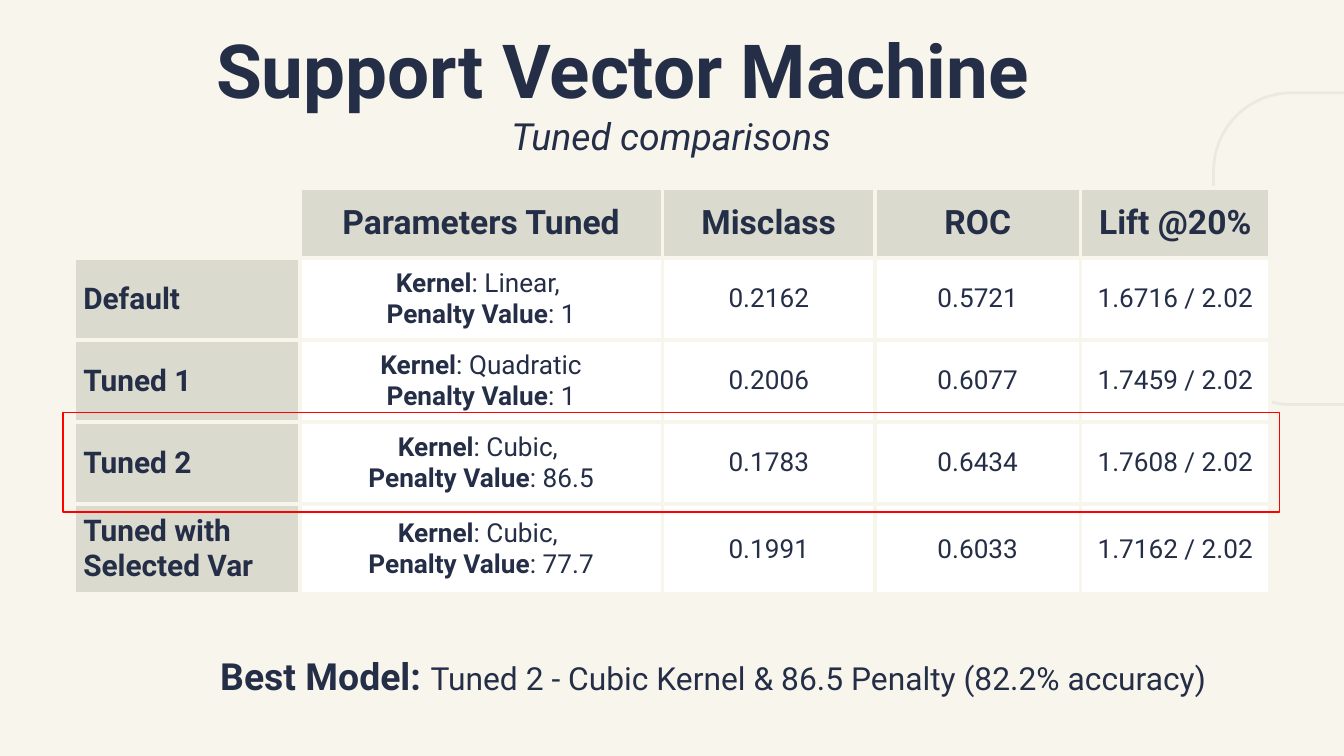
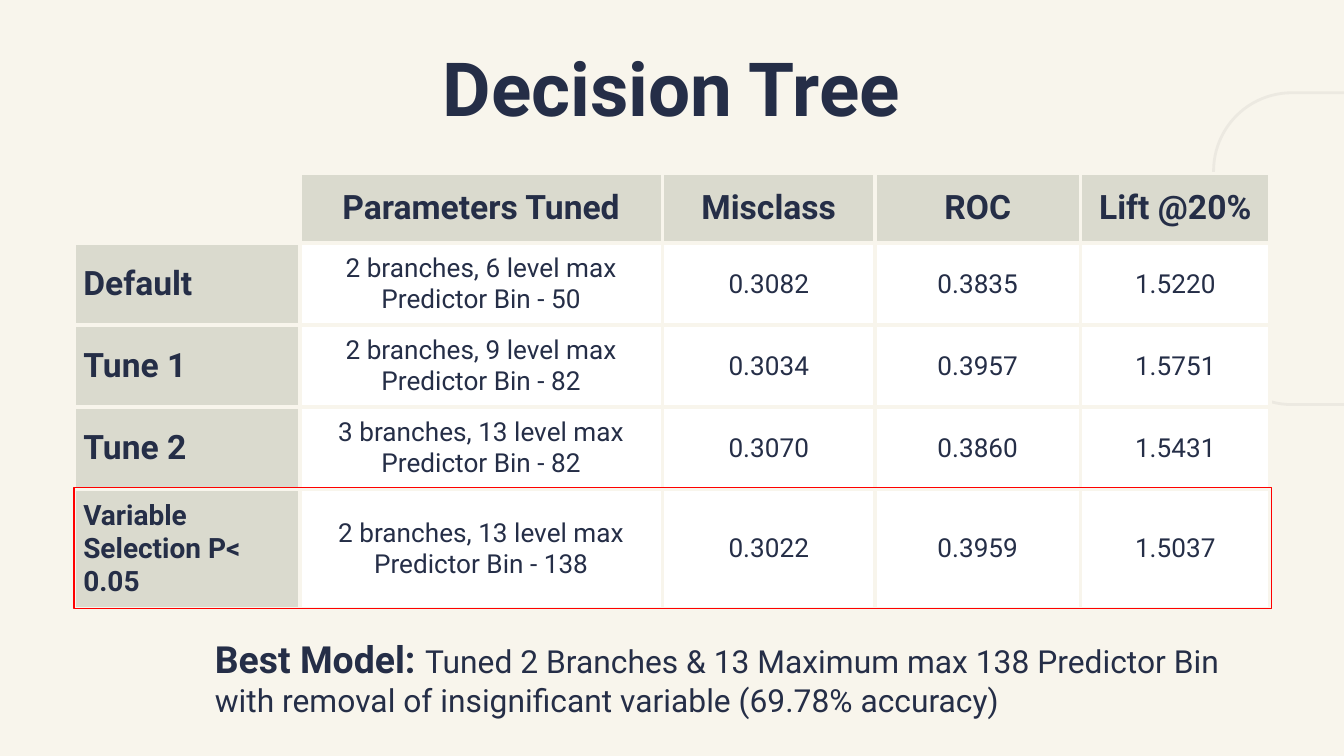
from dataclasses import dataclass
from lxml import etree
from pptx import Presentation
from pptx.dml.color import RGBColor
from pptx.enum import shapes, text
from pptx.oxml.ns import qn
from pptx.util import Inches, Pt


@dataclass(frozen=True)
class Theme:
    font: str = "Roboto"
    back: str = "F8F5EC"
    ink: str = "252E47"
    head: str = "DADACE"
    body: str = "FFFFFF"
    deco: str = "ECE9E1"
    mark: str = "FF0000"
    title: int = 40
    sub: int = 20
    best: int = 17
    column: int = 18
    cell: int = 14


T = Theme()
LEFT, MID = text.PP_ALIGN.LEFT, text.PP_ALIGN.CENTER


def write(frame, *paras, size=T.cell, bold=False, align=LEFT):
    """Fill a frame; each paragraph is a list of (text, format changes) runs."""
    frame.word_wrap = True
    for i, runs in enumerate(paras):
        para = frame.add_paragraph() if i else frame.paragraphs[0]
        para.alignment = align
        for words, own in runs:
            run = para.add_run()
            run.text = words
            font = run.font
            font.name = T.font
            font.color.rgb = RGBColor.from_string(T.ink)
            font.size = Pt(own.get("size", size))
            font.bold = own.get("bold", bold)
            if own.get("italic"):
                font.italic = True


def outline(slide, kind, box, color, width):
    shape = slide.shapes.add_shape(kind, *map(Inches, box))
    shape.shadow.inherit = False
    shape.fill.background()
    shape.line.color.rgb = RGBColor.from_string(color)
    shape.line.width = Pt(width)
    return shape


HEADS = ["", "Parameters Tuned", "Misclass", "ROC", "Lift @20%"]
WIDTHS = [1.68, 2.7, 1.58, 1.53, 1.41]

PAGES = [
    dict(
        title="Support Vector Machine", sub="Tuned comparisons",
        place=(1.51, 0.22, 6.97, 0.91), top=1.4, last=0.67,
        labels=[16, 16, 16, 16],
        rows=[
            ["Default", "Kernel: Linear, \nPenalty Value: 1", "0.2162", "0.5721", "1.6716 / 2.02"],
            ["Tuned 1", "Kernel: Quadratic\nPenalty Value: 1", "0.2006", "0.6077", "1.7459 / 2.02"],
            ["Tuned 2", "Kernel: Cubic, \nPenalty Value: 86.5", "0.1783", "0.6434", "1.7608 / 2.02"],
            ["Tuned with Selected Var", "Kernel: Cubic, \nPenalty Value: 77.7",
             "0.1991", "0.6033", "1.7162 / 2.02"],
        ],
        best="Tuned 2 - Cubic Kernel & 86.5 Penalty (82.2% accuracy)",
        foot=(1.54, 4.74, 7.91, 0.58), mark=(0.47, 3.07, 9.05, 0.74),
    ),
    dict(
        title="Decision Tree", sub="",
        place=(2.29, 0.33, 5.41, 0.63), top=1.29, last=0.88,
        labels=[18, 18, 18, 15],
        rows=[
            ["Default", "2 branches, 6 level max\nPredictor Bin - 50", "0.3082", "0.3835", "1.5220"],
            ["Tune 1", "2 branches, 9 level max\nPredictor Bin - 82", "0.3034", "0.3957", "1.5751"],
            ["Tune 2", "3 branches, 13 level max\nPredictor Bin - 82", "0.3070", "0.3860", "1.5431"],
            ["Variable Selection P< 0.05", "2 branches, 13 level max\nPredictor Bin - 138",
             "0.3022", "0.3959", "1.5037"],
        ],
        best="Tuned 2 Branches & 13 Maximum max 138 Predictor Bin "
             "with removal of insignificant variable (69.78% accuracy)",
        foot=(1.5, 4.75, 7.91, 0.58), mark=(0.55, 3.63, 8.91, 0.9),
    ),
]

deck = Presentation()
deck.slide_width = Inches(10)
deck.slide_height = deck.slide_width * 9 // 16
fill = deck.slide_master.background.fill
fill.solid()
fill.fore_color.rgb = RGBColor.from_string(T.back)

for page in PAGES:
    slide = deck.slides.add_slide(deck.slide_layouts[6])
    deco = outline(slide, shapes.MSO_SHAPE.ROUNDED_RECTANGLE, (9.03, 0.69, 1.94, 2.32), T.deco, 1.5)
    deco.adjustments[0] = 0.3

    title = slide.shapes.add_textbox(*map(Inches, page["place"])).text_frame
    title.vertical_anchor = text.MSO_ANCHOR.MIDDLE
    title.margin_top = title.margin_bottom = Inches(0.1)
    paras = [[(page["title"], {})]]
    if page["sub"]:
        paras.append([(page["sub"], dict(size=T.sub, bold=False, italic=True))])
    write(title, *paras, size=T.title, bold=True, align=MID)
    if page["sub"]:
        title.paragraphs[0].alignment = LEFT

    heights = [0.52] + [0.61] * 3 + [page["last"]]
    grid = slide.shapes.add_table(
        len(heights), len(WIDTHS), Inches(0.55), Inches(page["top"]),
        Inches(sum(WIDTHS)), Inches(sum(heights))).table
    grid.first_row = grid.horz_banding = False
    for col, width in zip(grid.columns, WIDTHS):
        col.width = Inches(width)
    for row, height in zip(grid.rows, heights):
        row.height = Inches(height)

    for r, row in enumerate([HEADS] + page["rows"]):
        for c, words in enumerate(row):
            cell = grid.cell(r, c)
            cell.vertical_anchor = text.MSO_ANCHOR.MIDDLE
            cell.margin_left = cell.margin_right = Inches(0.07)
            cell.margin_top = cell.margin_bottom = Inches(0.07)
            named = r == 0 or c == 0
            if words:
                cell.fill.solid()
                cell.fill.fore_color.rgb = RGBColor.from_string(T.head if named else T.body)
                size = T.column if r == 0 else page["labels"][r - 1] if c == 0 else T.cell
                paras = []
                for line in words.split("\n"):
                    key, colon, value = line.partition(":")
                    paras.append([(key, dict(bold=True)), (colon + value, {})] if colon else [(line, {})])
                write(cell.text_frame, *paras, size=size, bold=named, align=LEFT if c == 0 else MID)
            else:
                cell.fill.background()
            props = cell._tc.get_or_add_tcPr()
            for i, side in enumerate(["lnL", "lnR", "lnT", "lnB"]):
                edge = etree.Element(qn("a:" + side), w=str(Pt(2.25)))
                solid = etree.SubElement(edge, qn("a:solidFill"))
                etree.SubElement(solid, qn("a:srgbClr"), val=T.back)
                props.insert(i, edge)

    foot = slide.shapes.add_textbox(*map(Inches, page["foot"])).text_frame
    foot.vertical_anchor = text.MSO_ANCHOR.MIDDLE
    foot.margin_top = foot.margin_bottom = Inches(0.1)
    write(foot, [("Best Model: ", dict(size=T.sub, bold=True)), (page["best"], {})], size=T.best)

    outline(slide, shapes.MSO_SHAPE.RECTANGLE, page["mark"], T.mark, 0.75)

deck.save("out.pptx")
